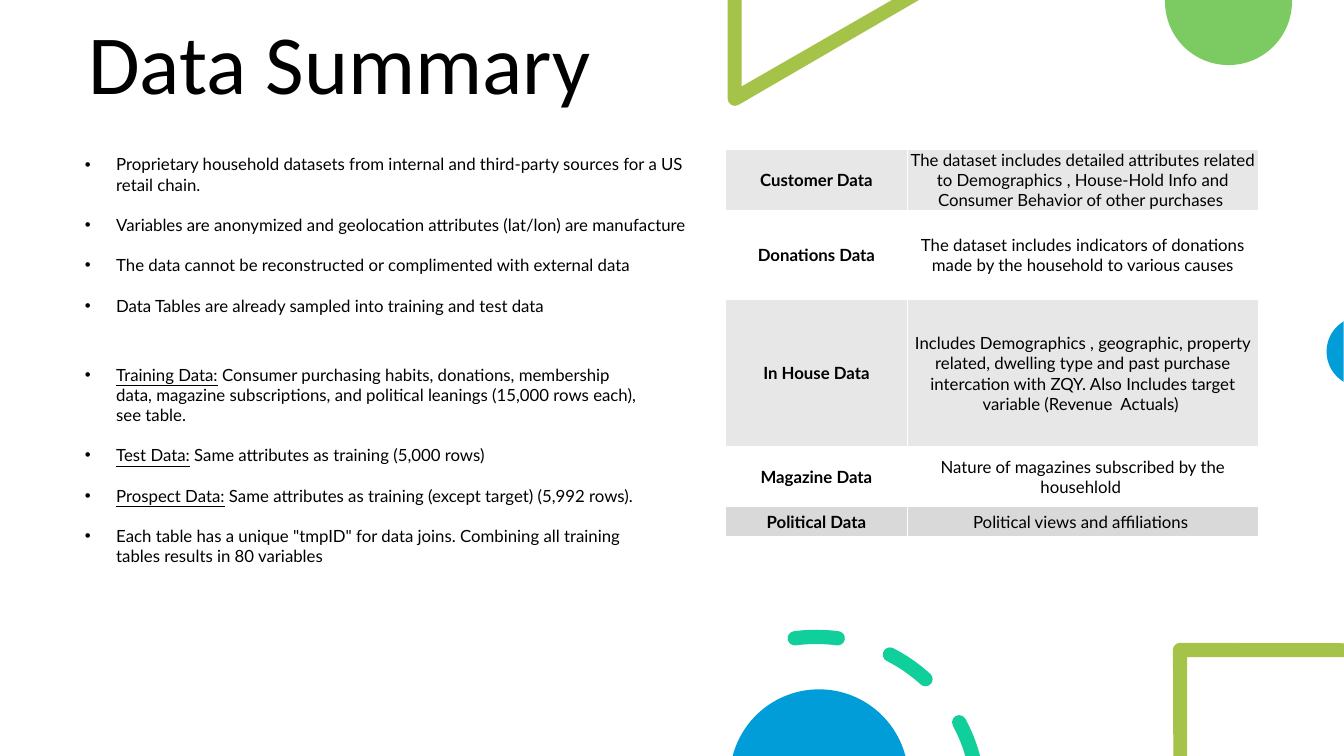
from dataclasses import dataclass
from math import ceil, cos, radians, sin, tan
from typing import NamedTuple

from lxml.etree import SubElement
from pptx import Presentation
from pptx.dml.color import RGBColor
from pptx.enum.shapes import MSO_SHAPE
from pptx.enum.text import MSO_ANCHOR, MSO_AUTO_SIZE, PP_ALIGN
from pptx.oxml import parse_xml
from pptx.oxml.ns import nsdecls, qn
from pptx.slide import Slide
from pptx.table import _Cell
from pptx.text.text import _Paragraph
from pptx.util import Cm, Pt

BLACK = RGBColor(0x00, 0x00, 0x00)
WHITE = RGBColor(0xFF, 0xFF, 0xFF)
GREY = RGBColor(0xD9, 0xD9, 0xD9)
LIME = RGBColor(0xA5, 0xC2, 0x49)
GREEN = RGBColor(0x7C, 0xCA, 0x62)
BLUE = RGBColor(0x00, 0x9D, 0xD9)
TEAL = RGBColor(0x10, 0xCF, 0x9B)
SLIDE_WIDTH, SLIDE_HEIGHT = 33.87, 19.05
BODY_FONT, BODY_SIZE = "Lato", Pt(12)
BULLET_GAP = Pt(14.4)
HALF_STROKE = 0.18


class Point(NamedTuple):
    x: float
    y: float


class Curve(NamedTuple):
    control_1: Point
    control_2: Point
    end: Point


Outline = list[Point | Curve]


@dataclass
class Decoration:
    color: RGBColor
    outlines: list[Outline]


@dataclass
class Bullet:
    text: str
    label: str = ""


@dataclass
class BulletBox:
    top: float
    width: float
    height: float
    bullets: list[Bullet]
    grows: bool = False


@dataclass
class Dataset:
    name: str
    description: str
    height: float
    fill: RGBColor | None
    opacity: int = 100


def arc(x: float, y: float, radius: float, start: float, end: float) -> Outline:
    """Start point and curves of an arc; degrees run clockwise from the right."""
    pieces = ceil(abs(end - start) / 90)
    step = radians(end - start) / pieces
    reach = 4 / 3 * tan(step / 4)

    def at(angle: float, pull: float = 0) -> Point:
        return Point(x + radius * (cos(angle) - pull * sin(angle)),
                     y + radius * (sin(angle) + pull * cos(angle)))

    angles = [radians(start) + step * i for i in range(pieces + 1)]
    return [at(angles[0])] + [Curve(at(a, reach), at(b, -reach), at(b)) for a, b in zip(angles, angles[1:])]


def ring_dash(start: float, end: float, cut_end: float | None = None) -> Outline:
    """One thick dash of the ring; cut_end is the inner end of a dash cut flat."""
    x, y, radius = 20.57, 20.14, 4.09

    def cap(angle: float, turn: float) -> Outline:
        center_x, center_y = x + radius * cos(radians(angle)), y + radius * sin(radians(angle))
        return arc(center_x, center_y, HALF_STROKE, angle + turn, angle + turn + 180)[1:]

    outer = arc(x, y, radius + HALF_STROKE, start, end)
    if cut_end is None:
        inner = cap(end, 0) + arc(x, y, radius - HALF_STROKE, end, start)[1:]
    else:
        inner = arc(x, y, radius - HALF_STROKE, cut_end, start)
    return outer + inner + cap(start, 180)


TRIANGLE = [Point(18.34, 0), Point(18.69, 0), Point(18.69, 2.18), Point(22.48, 0), Point(23.16, 0)]
FRAME = [Point(SLIDE_WIDTH, 16.21), Point(SLIDE_WIDTH, 16.56), Point(29.92, 16.56),
         Point(29.92, SLIDE_HEIGHT), Point(29.57, SLIDE_HEIGHT)]
GREEN_TOP = [Point(29.36, 0), Point(32.56, 0)]

DECORATIONS = [
    Decoration(LIME, [TRIANGLE + arc(18.52, 2.49, HALF_STROKE, 60, 180)]),
    Decoration(GREEN, [GREEN_TOP + arc(30.96, 0.04, 1.6, 0, 180)]),
    Decoration(BLUE, [arc(34.32, 8.86, 0.89, 120.9, 239.1)]),
    Decoration(TEAL, [ring_dash(262.4, 277.6), ring_dash(297, 312.3), ring_dash(331.7, 345.2, 343.8)]),
    Decoration(BLUE, [arc(20.64, 19.62, 2.25, 194.7, 345.3)]),
    Decoration(LIME, [arc(29.74, 16.38, HALF_STROKE, 180, 270) + FRAME]),
]

SOURCES = BulletBox(3.76, 15.95, 12.09, [
    Bullet("Proprietary household datasets from internal and third-party sources for a US retail chain."),
    Bullet("Variables are anonymized and geolocation attributes (lat/lon) are manufacture"),
    Bullet("The data cannot be reconstructed or complimented with external data"),
    Bullet("Data Tables are already sampled into training and test data"),
])
SAMPLES = BulletBox(9.06, 14.71, 5.89, [
    Bullet(" Consumer purchasing habits, donations, membership data, magazine subscriptions, "
           "and political leanings (15,000 rows each), see table.", "Training Data:"),
    Bullet(" Same attributes as training (5,000 rows)", "Test Data:"),
    Bullet(" Same attributes as training (except target) (5,992 rows).", "Prospect Data:"),
    Bullet('Each table has a unique "tmpID" for data joins. Combining all training '
           "tables results in 80 variables"),
], grows=True)

DATASETS = [
    Dataset("Customer Data", "The dataset includes detailed attributes related to Demographics , "
            "House-Hold Info and Consumer Behavior of other purchases ", 1.5, GREY, 62),
    Dataset("Donations Data", "The dataset includes indicators of donations made by the household "
            "to various causes", 2.23, WHITE, 62),
    Dataset("In House Data", "Includes Demographics , geographic, property related, dwelling type and "
            "past purchase intercation with ZQY. Also Includes target variable (Revenue  Actuals) ",
            3.73, GREY, 62),
    Dataset("Magazine Data", "Nature of magazines subscribed by the househlold ", 1.5, None),
    Dataset("Political Data", "Political views and affiliations ", 0.75, GREY),
]


def draw_backdrop(slide: Slide) -> None:
    backdrop = slide.shapes.add_shape(MSO_SHAPE.RECTANGLE, 0, 0, Cm(SLIDE_WIDTH), Cm(SLIDE_HEIGHT))
    backdrop.shadow.inherit = False
    backdrop.fill.solid()
    backdrop.fill.fore_color.rgb = WHITE
    backdrop.line.fill.background()


def draw_decoration(slide: Slide, decoration: Decoration) -> None:
    builder, curve_flags = None, []
    for start, *segments in decoration.outlines:
        origin = Cm(start.x), Cm(start.y)
        if builder is None:
            builder = slide.shapes.build_freeform(*origin)
        else:
            builder.move_to(*origin)
        curve_flags += [isinstance(segment, Curve) for segment in segments]
        points = [p for segment in segments for p in (segment if isinstance(segment, Curve) else [segment])]
        builder.add_line_segments([(Cm(p.x), Cm(p.y)) for p in points], close=True)
    shape = builder.convert_to_shape()
    shape.shadow.inherit = False
    shape.fill.solid()
    shape.fill.fore_color.rgb = decoration.color
    shape.line.fill.background()
    # Three successive points of a curve become one cubic segment
    lines = iter(list(shape._element.iter(qn("a:lnTo"))))
    for is_curve in curve_flags:
        line = next(lines)
        if is_curve:
            line.tag = qn("a:cubicBezTo")
            for other in (next(lines), next(lines)):
                line.append(other[0])
                other.getparent().remove(other)


def format_runs(paragraph: _Paragraph, font: str = BODY_FONT, size: Pt = BODY_SIZE) -> None:
    for run in paragraph.runs:
        run.font.name = font
        run.font.size = size
        run.font.color.rgb = BLACK


def draw_title(slide: Slide, title: str) -> None:
    frame = slide.shapes.add_textbox(Cm(1.3), Cm(-5.58), Cm(14.5), Cm(8.54)).text_frame
    frame.word_wrap = True
    frame.vertical_anchor = MSO_ANCHOR.BOTTOM
    frame.text = title
    paragraph = frame.paragraphs[0]
    paragraph.alignment = PP_ALIGN.CENTER
    paragraph.line_spacing = 0.9
    paragraph.space_after = Pt(6)
    format_runs(paragraph, "Calibri", Pt(60))


def draw_bullets(slide: Slide, box: BulletBox) -> None:
    frame = slide.shapes.add_textbox(Cm(1.89), Cm(box.top), Cm(box.width), Cm(box.height)).text_frame
    frame.word_wrap = True
    if box.grows:
        frame.auto_size = MSO_AUTO_SIZE.SHAPE_TO_FIT_TEXT
    for index, bullet in enumerate(box.bullets):
        paragraph = frame.add_paragraph() if index else frame.paragraphs[0]
        if bullet.label:
            paragraph.add_run().text = bullet.label
            paragraph.runs[0].font.underline = True
        paragraph.add_run().text = bullet.text
        format_runs(paragraph)
        if bullet is not box.bullets[-1]:
            paragraph.space_after = BULLET_GAP
        # Hanging bullet
        properties = paragraph._p.get_or_add_pPr()
        properties.set("marL", str(Cm(0.79)))
        properties.set("indent", str(Cm(-0.79)))
        SubElement(properties, qn("a:buFont"), typeface="Arial")
        SubElement(properties, qn("a:buChar"), char="•")


def format_cell(cell: _Cell, dataset: Dataset, text: str, bold: bool) -> None:
    cell.text = text
    cell.vertical_anchor = MSO_ANCHOR.MIDDLE
    cell.margin_left = cell.margin_right = cell.margin_top = Cm(0.02)
    cell.margin_bottom = 0
    paragraph = cell.text_frame.paragraphs[0]
    paragraph.alignment = PP_ALIGN.CENTER
    format_runs(paragraph)
    paragraph.runs[0].font.bold = bold
    properties = cell._tc.get_or_add_tcPr()
    if dataset.fill is None:
        cell.fill.background()
    else:
        cell.fill.solid()
        cell.fill.fore_color.rgb = dataset.fill
        if dataset.opacity < 100:
            fill_color = properties.find(".//" + qn("a:srgbClr"))
            SubElement(fill_color, qn("a:alpha"), val=str(dataset.opacity * 1000))
    # White borders come before the fill
    for index, side in enumerate("LRTB"):
        properties.insert(index, parse_xml(
            f'<a:ln{side} {nsdecls("a")} w="{Pt(1)}"><a:solidFill>'
            f'<a:srgbClr val="{WHITE}"/></a:solidFill></a:ln{side}>'))


def draw_datasets(slide: Slide, datasets: list[Dataset]) -> None:
    height = sum(dataset.height for dataset in datasets)
    table = slide.shapes.add_table(len(datasets), 2, Cm(18.29), Cm(3.76), Cm(13.43), Cm(height)).table
    table.first_row = table.horz_banding = False
    table.columns[0].width, table.columns[1].width = Cm(4.57), Cm(8.86)
    for row, dataset in zip(table.rows, datasets):
        row.height = Cm(dataset.height)
        format_cell(row.cells[0], dataset, dataset.name, bold=True)
        format_cell(row.cells[1], dataset, dataset.description, bold=False)


presentation = Presentation()
presentation.slide_width, presentation.slide_height = Cm(SLIDE_WIDTH), Cm(SLIDE_HEIGHT)
summary = presentation.slides.add_slide(presentation.slide_layouts[6])
draw_backdrop(summary)
draw_title(summary, "Data Summary")
for ornament in DECORATIONS:
    draw_decoration(summary, ornament)
draw_bullets(summary, SOURCES)
draw_datasets(summary, DATASETS)
draw_bullets(summary, SAMPLES)
presentation.save("out.pptx")
